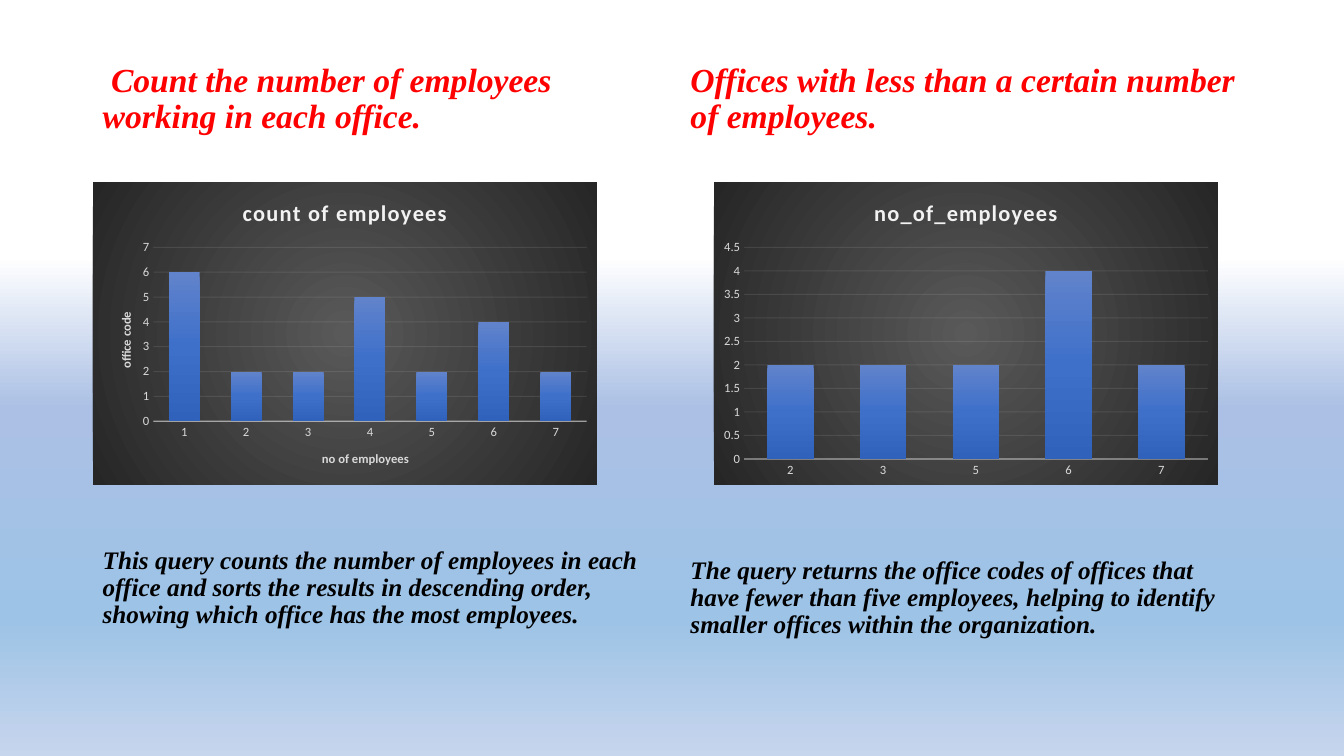
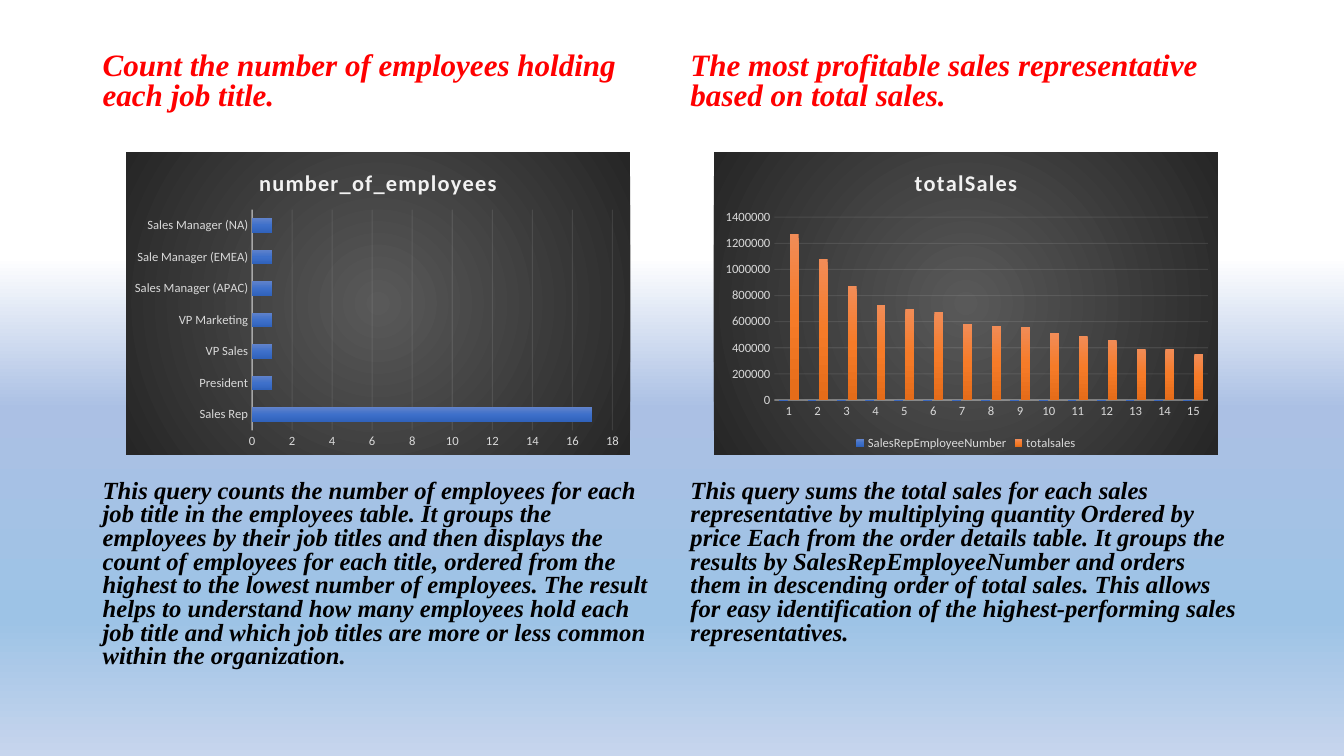
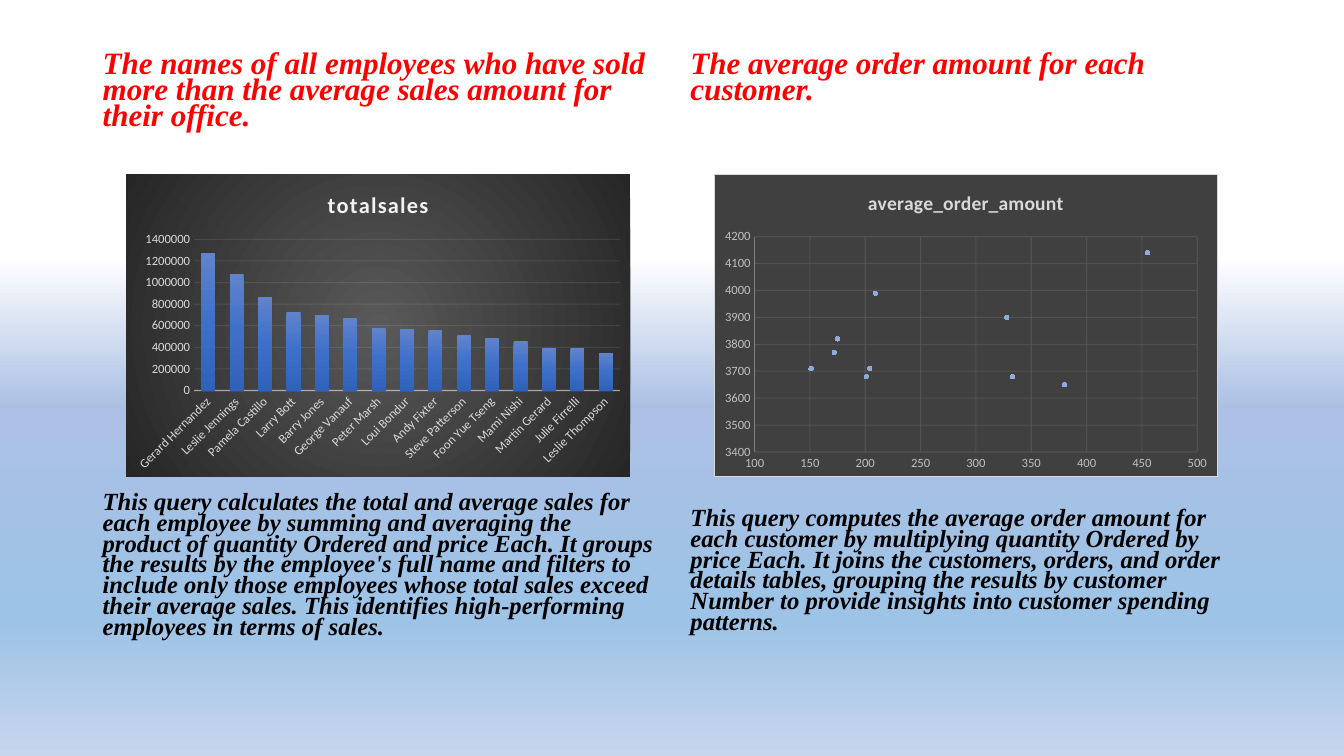
from lxml.etree import SubElement
from pptx import Presentation
from pptx.chart.data import CategoryChartData, XyChartData
from pptx.dml.color import RGBColor
from pptx.enum.chart import XL_CHART_TYPE as Kind, XL_LEGEND_POSITION as LegendSpot
from pptx.enum.chart import XL_MARKER_STYLE as Marker, XL_TICK_MARK as Tick
from pptx.enum.text import MSO_AUTO_SIZE as AutoSize
from pptx.oxml import parse_xml
from pptx.oxml.ns import nsdecls, qn
from pptx.util import Inches, Pt

COLORS = {
    "heading": "FF0000", "body": "000000", "label": "D9D9D9", "title": "F2F2F2",
    "axis": "F2F2F2", "scatter_fill": "404040", "scatter_grid": "595959",
    "scatter_axis": "808080", "scatter_label": "BFBFBF", "point": "8FAADC",
}
DOWN = '<a:lin ang="5400000" scaled="0"/>'
CIRCLE = '<a:path path="circle"><a:fillToRect l="50000" t="50000" r="50000" b="50000"/></a:path>'
GRADIENTS = {
    "page": ([(34, "FFFFFF", 67), (54, "ABC0E4", 100), (82, "9DC3E6", 100), (100, "C7D5ED", 100)], DOWN),
    "panel": ([(0, "595959", 100), (100, "262626", 100)], CIRCLE),
    "blue": ([(0, "6183CB", 100), (50, "3E70CA", 100), (100, "3062BB", 100)], DOWN),
    "orange": ([(0, "F18C57", 100), (50, "F67B28", 100), (100, "E56C19", 100)], DOWN),
}
TITLE = {"name": "Calibri", "size": Pt(16), "bold": True}
LABEL = {"name": "Calibri", "size": Pt(9), "bold": False}
SERIF = {"name": "Times New Roman", "bold": True, "italic": True}
MARGIN, COLUMN_STEP, COLUMN_WIDTH = 0.92, 5.83, 5.67
CHART_INDENT, CHART_WIDTH, CHART_HEIGHT = 0.33, 5, 3
SALES = [1270000, 1080000, 870000, 730000, 700000, 670000, 580000, 570000,
         560000, 510000, 490000, 460000, 390000, 390000, 350000]
SELLERS = ["Gerard Hernandez", "Leslie Jennings", "Pamela Castillo", "Larry Bott",
           "Barry Jones", "George Vanauf", "Peter Marsh", "Loui Bondur", "Andy Fixter",
           "Steve Patterson", "Foon Yue Tseng", "Mami Nishi", "Martin Gerard",
           "Julie Firrelli", "Leslie Thompson"]
JOBS = ["Sales Rep", "President", "VP Sales", "VP Marketing", "Sales Manager (APAC)",
        "Sale Manager (EMEA)", "Sales Manager (NA)"]
ORDERS = [(455, 4140), (209, 3990), (328, 3900), (175, 3820), (172, 3770),
          (151, 3710), (204, 3710), (333, 3680), (201, 3680), (380, 3650)]


def rgb(name):
    return RGBColor.from_string(COLORS[name])


def style(target, values):
    for name, value in values.items():
        setattr(target, name, value)


def style_font(font, values, color):
    style(font, values)
    font.color.rgb = rgb(color)


def gradient(name):
    stops, direction = GRADIENTS[name]
    marks = "".join(
        f'<a:gs pos="{place * 1000}"><a:srgbClr val="{color}">'
        f'<a:alpha val="{alpha * 1000}"/></a:srgbClr></a:gs>'
        for place, color, alpha in stops)
    return parse_xml(f'<a:gradFill {nsdecls("a")} rotWithShape="1">'
                     f'<a:gsLst>{marks}</a:gsLst>{direction}</a:gradFill>')


def swap_fill(root, query, name):
    solid = root.xpath(query)[0]
    solid.getparent().replace(solid, gradient(name))


def draw_line(line, color, width):
    line.color.rgb = rgb(color)
    line.width = Pt(width)


def fade(chart, query, percent):
    for color in chart.element.xpath(query + "//a:ln//a:srgbClr"):
        SubElement(color, qn("a:alpha")).set("val", str(percent * 1000))


def place(element, shares, inner=False):
    for old in element.findall(qn("c:layout")):
        element.remove(old)
    layout = parse_xml(f'<c:layout {nsdecls("c")}><c:manualLayout/></c:layout>')
    names = ["xMode", "yMode"]
    values = ["edge", "edge"]
    if inner:
        names.insert(0, "layoutTarget")
        values.insert(0, "inner")
    for name, value in zip(names + ["x", "y", "w", "h"], values + list(shares)):
        SubElement(layout[0], qn("c:" + name)).set("val", str(value))
    text = element.find(qn("c:tx"))
    if text is None:
        element.insert(0, layout)
    else:
        text.addnext(layout)


def add_panel(chart, fill, border):
    panel = parse_xml(f'<c:spPr {nsdecls("c", "a")}>{fill}{border}</c:spPr>')
    chart.element.find(qn("c:chart")).addnext(panel)
    clear = parse_xml(f'<c:spPr {nsdecls("c", "a")}><a:noFill/><a:ln><a:noFill/></a:ln></c:spPr>')
    chart.element.xpath("./c:chart/c:plotArea")[0].append(clear)


def solid(name):
    return f'<a:solidFill><a:srgbClr val="{COLORS[name]}"/></a:solidFill>'


def add_title(owner, text, values, color):
    para = owner.text_frame.paragraphs[0]
    span = para.add_run()
    span.text = text
    style_font(span.font, values, color)


def add_chart(page, left, top, kind, data, title, plot, scale):
    frame = page.shapes.add_chart(kind, Inches(left), Inches(top),
                                  Inches(CHART_WIDTH), Inches(CHART_HEIGHT), data)
    chart = frame.chart
    style_font(chart.font, {"name": "Calibri", "size": Pt(10)}, "body")
    scatter = kind == Kind.XY_SCATTER
    chart.has_title = True
    chart.has_legend = False
    add_title(chart.chart_title, title, {**TITLE, "size": Pt(14 if scatter else 16)},
              "label" if scatter else "title")
    chart.chart_title.include_in_layout = False
    for axis in (chart.category_axis, chart.value_axis):
        style(axis, {"major_tick_mark": Tick.NONE, "minor_tick_mark": Tick.NONE})
        style_font(axis.tick_labels.font, LABEL, "scatter_label" if scatter else "label")
    low, high, unit = scale
    style(chart.value_axis, {"minimum_scale": low, "maximum_scale": high, "major_unit": unit,
                             "has_major_gridlines": True})
    place(chart.element.xpath("./c:chart/c:plotArea")[0], plot, True)
    return chart


def add_bars(page, left, top, title, cats, series, plot, high, unit,
             kind=Kind.COLUMN_CLUSTERED, gap=100, overlap=-24):
    data = CategoryChartData()
    data.categories = cats
    for name, values in series:
        data.add_series(name, values)
    chart = add_chart(page, left, top, kind, data, title, plot, (0, high, unit))
    style(chart.plots[0], {"gap_width": gap, "overlap": overlap, "vary_by_categories": False})
    for bars, name in zip(chart.plots[0].series, ("blue", "orange")):
        bars.format.fill.solid()
        bars.format.fill.fore_color.rgb = rgb("point")
        bars.format.line.fill.background()
        swap_fill(chart.element, "//c:ser/c:spPr/a:solidFill", name)
    draw_line(chart.category_axis.format.line, "axis", 1)
    draw_line(chart.value_axis.major_gridlines.format.line, "axis", 0.75)
    chart.value_axis.format.line.fill.background()
    fade(chart, "//c:catAx/c:spPr", 54)
    fade(chart, "//c:majorGridlines", 10)
    add_panel(chart, solid("scatter_fill"), "<a:ln><a:noFill/></a:ln>")
    swap_fill(chart.element, "./c:spPr/a:solidFill", "panel")
    for props in chart.element.xpath("./c:chart/c:title//a:r/a:rPr"):
        props.set("spc", "100")
    return chart


def add_scatter(page, left, top, title, points, plot):
    data = XyChartData()
    orders = data.add_series(title)
    for across, up in points:
        orders.add_data_point(across, up)
    chart = add_chart(page, left, top, Kind.XY_SCATTER, data, title, plot, (3400, 4200, 100))
    chart.plots[0].vary_by_categories = False
    style(chart.category_axis, {"minimum_scale": 100, "maximum_scale": 500, "major_unit": 50,
                                "has_major_gridlines": True})
    for axis in (chart.category_axis, chart.value_axis):
        draw_line(axis.major_gridlines.format.line, "scatter_grid", 0.75)
    fade(chart, "//c:majorGridlines", 75)
    chart.category_axis.format.line.fill.background()
    draw_line(chart.value_axis.format.line, "scatter_axis", 0.75)
    dots = chart.plots[0].series[0]
    dots.smooth = False
    dots.format.line.fill.background()
    style(dots.marker, {"style": Marker.CIRCLE, "size": 3})
    dots.marker.format.fill.solid()
    dots.marker.format.fill.fore_color.rgb = rgb("point")
    dots.marker.format.line.fill.background()
    add_panel(chart, solid("scatter_fill"), f'<a:ln w="9525">{solid("label")}</a:ln>')


def name_axis(axis, text, query, shares, turn):
    axis.has_title = True
    add_title(axis.axis_title, text, {**LABEL, "bold": True}, "label")
    title = axis.axis_title.text_frame
    title.word_wrap = True
    element = query("c:title")[0]
    element.xpath(".//a:bodyPr")[0].set("rot", str(turn * 60000))
    place(element, shares)


def add_column(page, index, top, height, spacing, sizes, heading, gap, body):
    box = page.shapes.add_textbox(Inches(MARGIN + index * COLUMN_STEP), Inches(top),
                                  Inches(COLUMN_WIDTH), Inches(height))
    frame = box.text_frame
    style(frame, {"word_wrap": True, "auto_size": AutoSize.NONE})
    rows = zip((heading, body), sizes, ("heading", "body"), (0, gap))
    for row, (text, size, color, before) in enumerate(rows):
        para = frame.add_paragraph() if row else frame.paragraphs[0]
        style(para, {"line_spacing": spacing, "space_before": Pt(before)})
        span = para.add_run()
        span.text = text
        style_font(span.font, {**SERIF, "size": Pt(size)}, color)


def add_page(deck, top, height, spacing, sizes, columns):
    page = deck.slides.add_slide(deck.slide_layouts[6])
    for index, column in enumerate(columns):
        add_column(page, index, top, height, spacing, sizes, *column)
    return page


def add_office_page(deck, left, right):
    page = add_page(deck, 0.58, 6.34, 0.9, (24, 18), [
        (" Count the number of employees working in each office.", 294,
         "This query counts the number of employees in each office and sorts the results in "
         "descending order, showing which office has the most employees."),
        ("Offices with less than a certain number of employees.", 301,
         "The query returns the office codes of offices that have fewer than five employees, "
         "helping to identify smaller offices within the organization."),
    ])
    chart = add_bars(page, MARGIN, 1.81, "count of employees", list("1234567"),
                     [("Series 1", [6, 2, 2, 5, 2, 4, 2])], (0.12, 0.215, 0.86, 0.575), 7, 1)
    cat_axis, val_axis = (chart.element.xpath("//c:" + tag)[0] for tag in ("catAx", "valAx"))
    name_axis(chart.category_axis, "no of employees", cat_axis.xpath, (0.45, 0.88), 0)
    name_axis(chart.value_axis, "office code", val_axis.xpath, (0.045, 0.42), -90)
    add_bars(page, right, 1.81, "no_of_employees", list("23567"),
             [("no_of_employees", [2, 2, 2, 4, 2])], (0.06, 0.215, 0.92, 0.7), 4.5, 0.5)


def add_job_page(deck, left, right):
    page = add_page(deck, 0.47, 6.28, 0.8, (22.2, 17.6), [
        ("Count the number of employees holding each job title.", 263,
         "This query counts the number of employees for each job title in the employees table. "
         "It groups the employees by their job titles and then displays the count of employees "
         "for each title, ordered from the highest to the lowest number of employees. The result "
         "helps to understand how many employees hold each job title and which job titles are "
         "more or less common within the organization."),
        ("The most profitable sales representative based on total sales.", 263,
         "This query sums the total sales for each sales representative by multiplying quantity "
         "Ordered by price Each from the order details table. It groups the results by "
         "SalesRepEmployeeNumber and orders them in descending order of total sales. This allows "
         "for easy identification of the highest-performing sales representatives."),
    ])
    add_bars(page, left, 1.51, "number_of_employees", JOBS, [("Series 1", [17] + [1] * 6)],
             (0.25, 0.19, 0.715, 0.73), 18, 2, Kind.BAR_CLUSTERED, 115, -20)
    chart = add_bars(page, right, 1.51, "totalSales", [str(rank) for rank in range(1, 16)],
                     [("SalesRepEmployeeNumber", [0] * 15), ("totalsales", SALES)],
                     (0.12, 0.215, 0.86, 0.605), 1400000, 200000)
    chart.has_legend = True
    style(chart.legend, {"position": LegendSpot.BOTTOM, "include_in_layout": False})
    style_font(chart.legend.font, LABEL, "label")


def add_sales_page(deck, left, right):
    page = add_page(deck, 0.48, 6.48, 0.7, (22.2, 17.6), [
        ("The names of all employees who have sold more than the average sales amount "
         "for their office.", 259,
         "This query calculates the total and average sales for each employee by summing and "
         "averaging the product of quantity Ordered and price Each. It groups the results by the "
         "employee's full name and filters to include only those employees whose total sales "
         "exceed their average sales. This identifies high-performing employees in terms of sales."),
        ("The average order amount for each customer.", 289,
         "This query computes the average order amount for each customer by multiplying quantity "
         "Ordered by price Each. It joins the customers, orders, and order details tables, "
         "grouping the results by customer Number to provide insights into customer spending "
         "patterns."),
    ])
    chart = add_bars(page, left, 1.73, "totalsales", SELLERS, [("totalsales", SALES)],
                     (0.135, 0.215, 0.845, 0.5), 1400000, 200000)
    chart.element.xpath("//c:catAx/c:txPr/a:bodyPr")[0].set("rot", "-2700000")
    add_scatter(page, right, 1.73, "average_order_amount", ORDERS, (0.08, 0.205, 0.88, 0.715))


def main():
    deck = Presentation()
    style(deck, {"slide_width": Inches(13.33), "slide_height": Inches(7.5)})
    backdrop = deck.slide_master.background.fill
    backdrop.solid()
    backdrop.fore_color.rgb = rgb("title")
    swap_fill(deck.slide_master.element, "//p:bgPr/a:solidFill", "page")
    left = MARGIN + CHART_INDENT
    for add_content in (add_office_page, add_job_page, add_sales_page):
        add_content(deck, left, left + COLUMN_STEP)
    deck.save("out.pptx")


if __name__ == "__main__":
    main()
